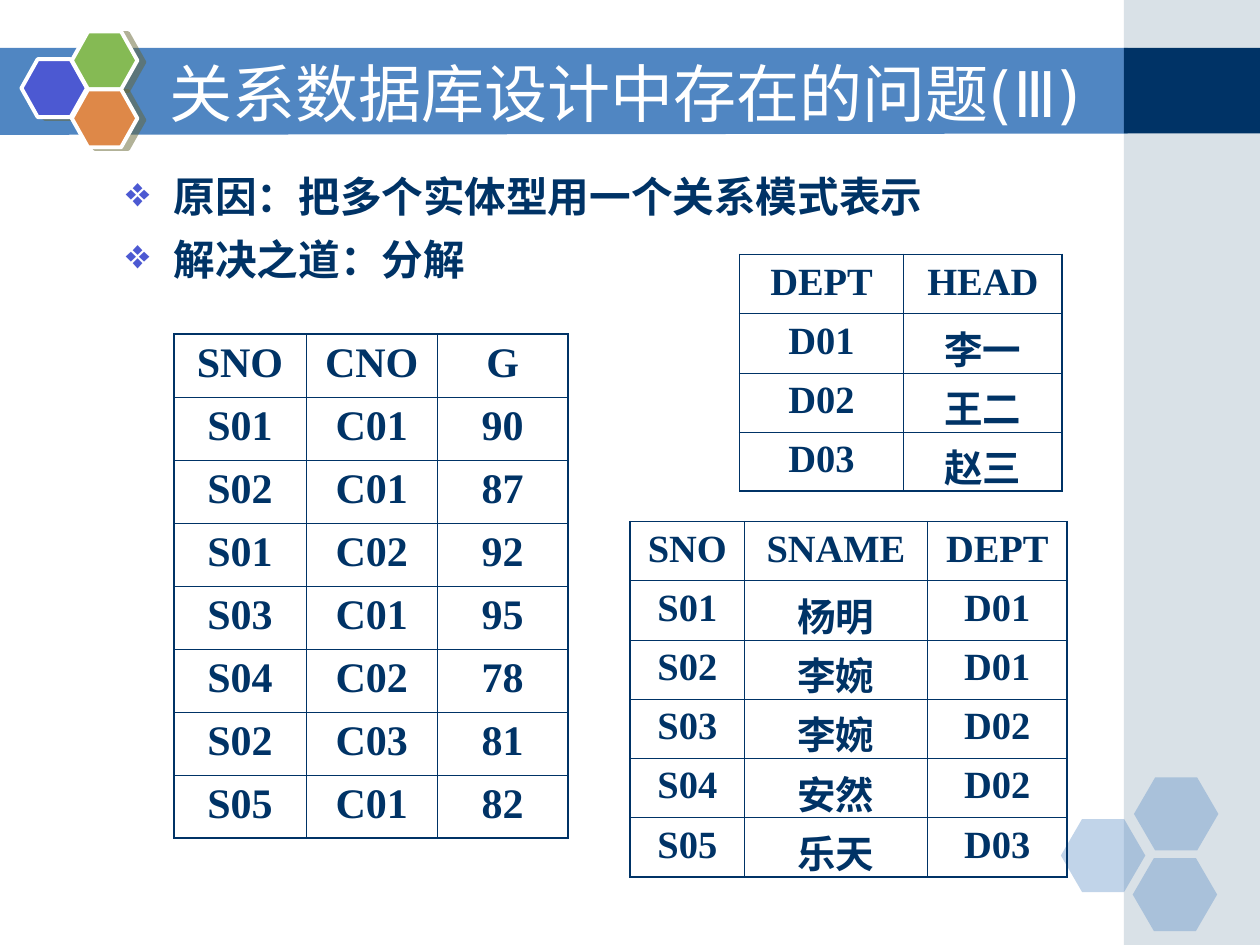
"""Build the slide on problems in relational database design."""
from lxml import etree
from pptx import Presentation
from pptx.dml.color import RGBColor
from pptx.enum import shapes, text
from pptx.oxml import ns
from pptx.util import Inches, Pt

NAVY = RGBColor(0x00, 0x33, 0x66)
BLUE = RGBColor(0x50, 0x86, 0xC2)
GREY = RGBColor(0xA0, 0xB5, 0xC4)
INDIGO = RGBColor(0x4C, 0x59, 0xD2)
GREEN = RGBColor(0x85, 0xBA, 0x54)
ORANGE = RGBColor(0xDE, 0x88, 0x48)
OLIVE = RGBColor(0x66, 0x66, 0x33)
WHITE = RGBColor(0xFF, 0xFF, 0xFF)


def write(p, words, size, color, font, bold=False, east=None, align=None):
    r = p.add_run()
    r.text = words
    r.font.size = Pt(size)
    r.font.bold = bold
    r.font.name = font
    r.font.color.rgb = color
    if east:
        etree.SubElement(r.font._element, ns.qn("a:ea"), typeface=east)
    if align is not None:
        p.alignment = align


def add_solid(kind, box, color, alpha=None, adj=None):
    sp = s.shapes.add_shape(kind, *[Inches(v) for v in box])
    sp.shadow.inherit = False
    sp.fill.solid()
    sp.fill.fore_color.rgb = color
    sp.line.fill.background()
    if alpha:
        clr = sp._element.spPr.find(".//" + ns.qn("a:srgbClr"))
        etree.SubElement(clr, ns.qn("a:alpha"), val=str(alpha * 1000))
    if adj:
        sp.adjustments[0] = adj
    return sp


prs = Presentation()
prs.slide_width = Inches(10)
prs.slide_height = Inches(7.5)
s = prs.slides.add_slide(prs.slide_layouts[6])

fb = s.shapes.build_freeform(Inches(-0.01), Inches(0.38))
fb.add_line_segments([(Inches(x), Inches(y)) for x, y in [(8.95, 0.38), (8.95, 1.06), (-0.01, 1.07)]])
band = fb.convert_to_shape()
band.shadow.inherit = False
band.fill.solid()
band.fill.fore_color.rgb = BLUE
band.line.fill.background()

add_solid(shapes.MSO_SHAPE.RECTANGLE, (8.92, 0, 1.08, 7.5), GREY, alpha=40)
add_solid(shapes.MSO_SHAPE.RECTANGLE, (8.92, 0.38, 1.08, 0.68), NAVY)

for x, y in [(8.42, 6.5), (9, 6.17), (8.99, 6.81)]:
    add_solid(shapes.MSO_SHAPE.HEXAGON, (x, y, 0.67, 0.58), BLUE, alpha=35, adj=0.29)

for x, y, color in [(0.17, 0.47, INDIGO), (0.57, 0.25, GREEN), (0.57, 0.71, ORANGE)]:
    sp = add_solid(shapes.MSO_SHAPE.HEXAGON, (x, y, 0.52, 0.46), color, adj=0.28)
    sp.line.color.rgb = WHITE
    sp.line.width = Pt(2.25)
    effects = sp._element.spPr.find(ns.qn("a:effectLst"))
    shadow = etree.SubElement(effects, ns.qn("a:outerShdw"), dist=str(Pt(4.1)), dir="840000",
                              algn="ctr", rotWithShape="0")
    clr = etree.SubElement(shadow, ns.qn("a:srgbClr"), val=str(OLIVE))
    etree.SubElement(clr, ns.qn("a:alpha"), val="50000")

title = s.shapes.add_textbox(Inches(1.25), Inches(0.42), Inches(7.69), Inches(0.62))
tf = title.text_frame
tf.word_wrap = True
tf.vertical_anchor = text.MSO_ANCHOR.MIDDLE
write(tf.paragraphs[0], "关系数据库设计中存在的问题(Ⅲ)", 36, WHITE, "DejaVu Sans", east="DejaVu Sans")

body = s.shapes.add_textbox(Inches(0.9), Inches(1.31), Inches(8.71), Inches(1.03))
tf = body.text_frame
tf.word_wrap = True
for i, words in enumerate(["原因：把多个实体型用一个关系模式表示", "解决之道：分解"]):
    p = tf.add_paragraph() if i else tf.paragraphs[0]
    pPr = p._p.get_or_add_pPr()
    pPr.set("marL", str(Inches(0.38)))
    pPr.set("indent", str(-Inches(0.38)))
    clr = etree.SubElement(pPr, ns.qn("a:buClr"))
    etree.SubElement(clr, ns.qn("a:srgbClr"), val=str(INDIGO))
    etree.SubElement(pPr, ns.qn("a:buChar"), char="❖")
    if i:
        p.space_before = Pt(7)
    write(p, words, 23.8, NAVY, "DejaVu Sans", bold=True, east="DejaVu Sans")

students = ["SNO SNAME DEPT", "S01 杨明 D01", "S02 李婉 D01", "S03 李婉 D02", "S04 安然 D02", "S05 乐天 D03"]
heads = ["DEPT HEAD", "D01 李一", "D02 王二", "D03 赵三"]
grades = ["SNO CNO G", "S01 C01 90", "S02 C01 87", "S01 C02 92", "S03 C01 95",
          "S04 C02 78", "S02 C03 81", "S05 C01 82"]
tables = [
    (5, 4.14, [0.91, 1.45, 1.11], 0.47, 22, students),
    (5.87, 2.02, [1.3, 1.26], 0.47, 22, heads),
    (1.38, 2.65, [1.05, 1.04, 1.04], 0.5, 24, grades),
]
for x, y, widths, height, size, rows in tables:
    n, m = len(rows), len(widths)
    frame = s.shapes.add_table(n, m, Inches(x), Inches(y), Inches(sum(widths)), Inches(height * n))
    tbl = frame.table
    tbl.first_row = tbl.horz_banding = False
    for col, width in zip(tbl.columns, widths):
        col.width = Inches(width)
    for i, row in enumerate(rows):
        tbl.rows[i].height = Inches(height)
        for j, words in enumerate(row.split()):
            cell = tbl.cell(i, j)
            write(cell.text_frame.paragraphs[0], words, size, NAVY, "Times New Roman",
                  bold=True, align=text.PP_ALIGN.CENTER)
            tcPr = cell._tc.get_or_add_tcPr()
            edges = {"lnL": j == 0, "lnR": j == m - 1, "lnT": i == 0, "lnB": i == n - 1}
            for tag, outer in edges.items():
                ln = etree.SubElement(tcPr, ns.qn("a:" + tag), w=str(Pt(1.08 if outer else 0.45)))
                fill = etree.SubElement(ln, ns.qn("a:solidFill"))
                etree.SubElement(fill, ns.qn("a:srgbClr"), val=str(NAVY))
            cell.fill.background()

prs.save("out.pptx")
